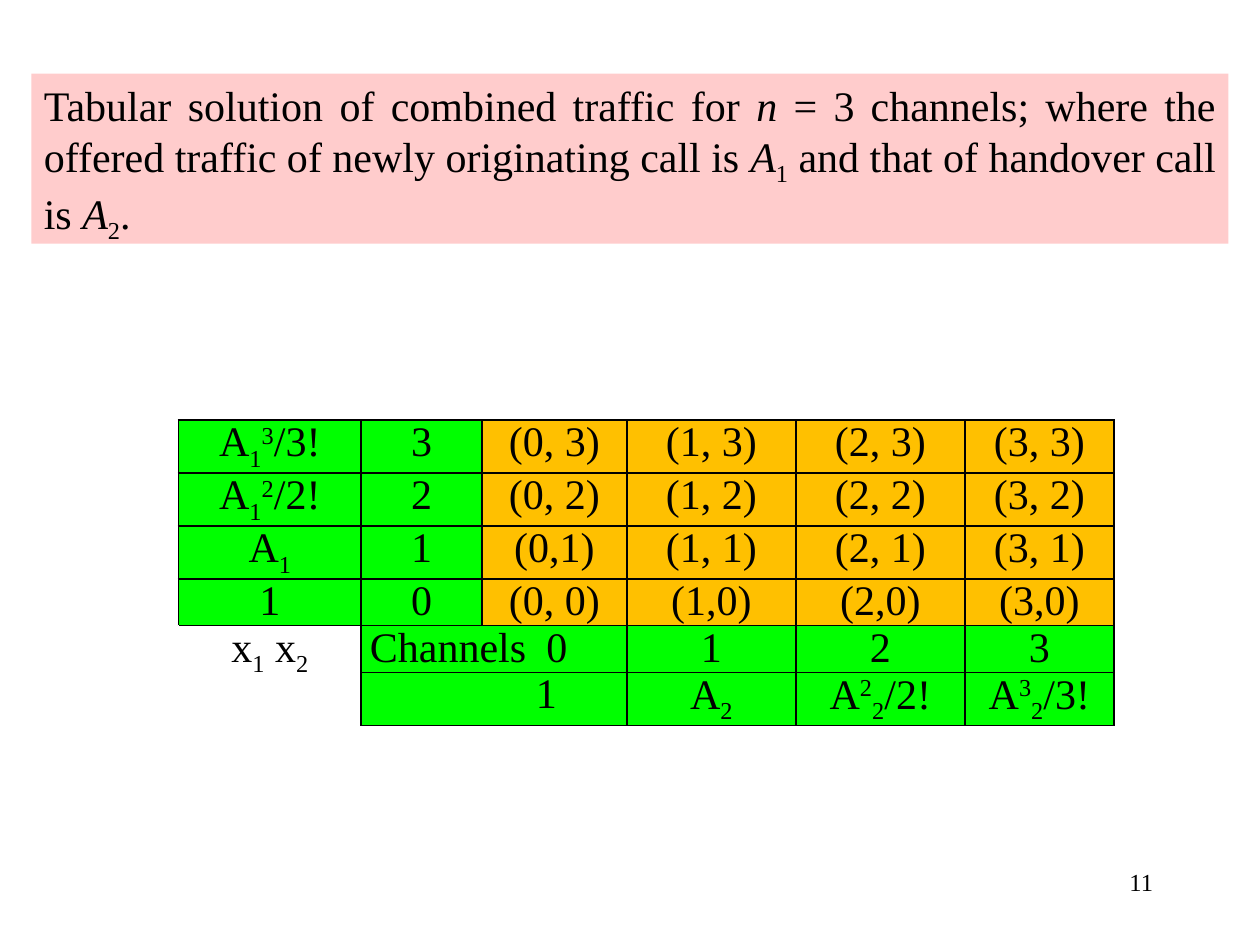
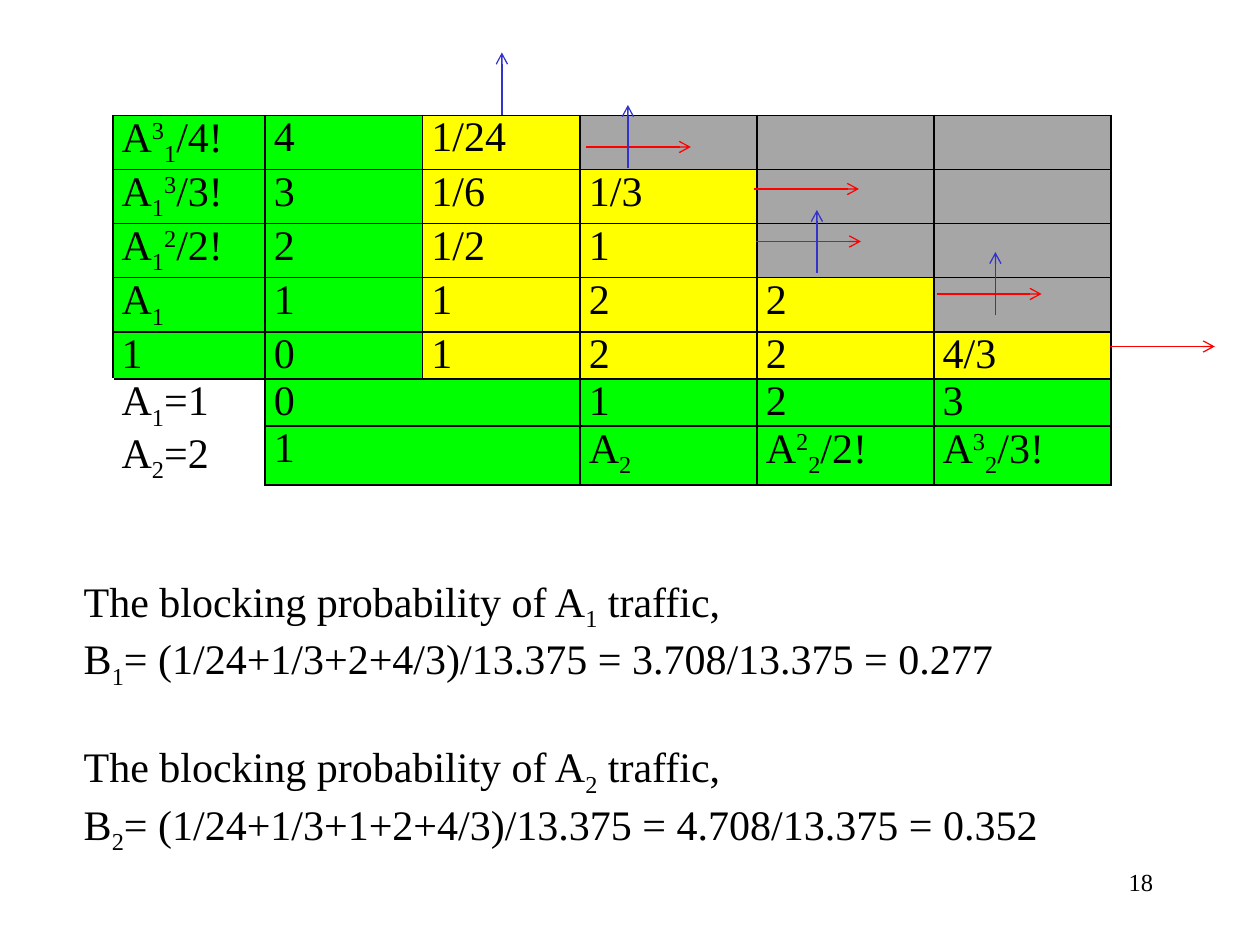
from lxml.etree import SubElement
from pptx import Presentation
from pptx.dml.color import RGBColor
from pptx.enum.shapes import MSO_CONNECTOR, MSO_SHAPE
from pptx.enum.text import MSO_ANCHOR, PP_ALIGN as AL
from pptx.oxml.ns import qn
from pptx.util import Inches, Pt

BLACK = RGBColor(0x00, 0x00, 0x00)
GREEN = RGBColor(0x00, 0xFF, 0x00)
ORANGE = RGBColor(0xFF, 0xC0, 0x00)
YELLOW = RGBColor(0xFF, 0xFF, 0x00)
GREY = RGBColor(0xA6, 0xA6, 0xA6)
PINK = RGBColor(0xFF, 0xCC, 0xCC)
RED = RGBColor(0xFF, 0x00, 0x00)
BLUE = RGBColor(0x33, 0x33, 0xCC)
FONT = "Times New Roman"
BODY = 24
# Line heights in table cells, without and with a subscript
PLAIN_LINE, INDEX_LINE = Pt(26), Pt(30)

prs = Presentation()
prs.slide_width, prs.slide_height = Inches(10), Inches(7.5)
# The slide is a grid of 120 columns by 90 rows.
COL = prs.slide_width / 120
ROW = prs.slide_height / 90


def write(tf, lines, align, size=BODY, in_cell=False):
    """Fill a text frame; _ lowers, ^ raises and ~ slants the next character."""
    if not in_cell:
        tf.word_wrap = True
    for i, line in enumerate(lines):
        p = tf.add_paragraph() if i else tf.paragraphs[0]
        p.alignment = align
        if in_cell:
            p.line_spacing = INDEX_LINE if "_" in line else PLAIN_LINE
        if "\t" in line:
            tabs = SubElement(p._p.get_or_add_pPr(), qn("a:tabLst"))
            SubElement(tabs, qn("a:tab"), pos=str(Inches(1.4)), algn="l")
        pieces, mark = [["", ""]], ""
        for ch in line:
            if ch in "_^~":
                mark = ch
            elif mark or pieces[-1][0]:
                pieces.append([mark, ch])
                mark = ""
            else:
                pieces[-1][1] += ch
        for mark, text in pieces:
            if not text:
                continue
            r = p.add_run()
            r.text = text
            for name, value in {"name": FONT, "size": Pt(size), "italic": mark == "~"}.items():
                setattr(r.font, name, value)
            r.font.color.rgb = BLACK
            if mark in ("_", "^"):
                r.font._element.set("baseline", "-25000" if mark == "_" else "30000")


def add_state_table(s, left, top, widths, heights, rows, state_fill, align):
    """Add a table of states with green margins and an open lower left corner."""
    n_rows, n_cols = len(heights), len(widths)
    table = s.shapes.add_table(n_rows, n_cols, round(left * COL), round(top * ROW),
                               round(sum(widths) * COL), round(sum(heights) * ROW)).table
    table.first_row = table.horz_banding = False
    for column, width in zip(table.columns, widths):
        column.width = round(width * COL)
    for row, height in zip(table.rows, heights):
        row.height = round(height * ROW)
    corner = n_rows - 2
    table.cell(corner, 0).merge(table.cell(corner + 1, 0))
    for y in (corner, corner + 1):
        table.cell(y, 1).merge(table.cell(y, 2))

    for y, texts in enumerate(rows):
        for x, text in enumerate(texts):
            cell = table.cell(y, x)
            in_corner = x == 0 and y >= corner
            cell.margin_left = cell.margin_right = Inches(0.07)
            cell.margin_top = cell.margin_bottom = 0
            tc_pr = cell._tc.get_or_add_tcPr()
            for side in "RT" if in_corner else "LRTB":
                ln = SubElement(tc_pr, qn(f"a:ln{side}"), w=str(Pt(1)))
                fill = SubElement(ln, qn("a:solidFill"))
                SubElement(fill, qn("a:srgbClr"), val=str(BLACK))
            if in_corner:
                cell.fill.background()
            else:
                cell.fill.solid()
                margin = x < 2 or y >= corner
                cell.fill.fore_color.rgb = GREEN if margin else state_fill if text else GREY
            if text:
                write(cell.text_frame, text.split("\n"), AL.LEFT if "\t" in text else align,
                      in_cell=True)
    return table


# Both slides: page number
slides = []
for number in ("11", "18"):
    s = prs.slides.add_slide(prs.slide_layouts[6])
    tb = s.shapes.add_textbox(round(86 * COL), round(82 * ROW), round(25 * COL), round(6 * ROW))
    write(tb.text_frame, [number], AL.RIGHT, 14)
    slides.append(s)
tabular, blocking = slides

# Slide 1: states of combined traffic
table = add_state_table(
    tabular, 17, 40, [17.4, 11.5, 13.8, 16.1, 16.1, 14.2],
    [5.05] * 3 + [4.45] * 2 + [5.05],
    [["A_1^3/3!", "3", "(0, 3)", "(1, 3)", "(2, 3)", "(3, 3)"],
     ["A_1^2/2!", "2", "(0, 2)", "(1, 2)", "(2, 2)", "(3, 2)"],
     ["A_1", "1", "(0,1)", "(1, 1)", "(2, 1)", "(3, 1)"],
     ["1", "0", "(0, 0)", "(1,0)", "(2,0)", "(3,0)"],
     ["x_1 x_2", "Channels\t0", "", "1", "2", "3"],
     ["", "1", "", "A_2", "A^2_2/2!", "A^3_2/3!"]],
    ORANGE, AL.CENTER)
table.cell(5, 1).margin_left = Inches(0.9)

sp = tabular.shapes.add_shape(MSO_SHAPE.RECTANGLE, round(3 * COL), round(7 * ROW),
                              round(114 * COL), round(16.2 * ROW))
sp.shadow.inherit = False
sp.fill.solid()
sp.fill.fore_color.rgb = PINK
sp.line.fill.background()
sp.text_frame.vertical_anchor = MSO_ANCHOR.TOP
write(sp.text_frame,
      ["Tabular solution of combined traffic for ~n = 3 channels; where the offered traffic "
       "of newly originating call is ~A_1 and that of handover call is ~A_2."],
      AL.JUSTIFY)

# Slide 2: blocking probabilities
add_state_table(
    blocking, 10.75, 11, [14.5, 15, 15] + [16.85] * 3,
    [5.15] * 4 + [4.5] * 2 + [5.6],
    [["A^3_1/4!", "4", "1/24", "", "", ""],
     ["A_1^3/3!", "3", "1/6", "1/3", "", ""],
     ["A_1^2/2!", "2", "1/2", "1", "", ""],
     ["A_1", "1", "1", "2", "2", ""],
     ["1", "0", "1", "2", "2", "4/3"],
     ["A_1=1\nA_2=2", "0", "", "1", "2", "3"],
     ["", "1", "", "A_2", "A^2_2/2!", "A^3_2/3!"]],
    YELLOW, AL.JUSTIFY)

# Arrow starts; red ones run right, blue ones run up
red_starts = [(55.8, 14), (71.8, 18), (72, 23), (89.2, 28), (105.7, 33)]
blue_starts = [(47.8, 11), (59.8, 16), (77.8, 26), (94.8, 30)]
for color, starts, dx, dy in ((RED, red_starts, 10, 0), (BLUE, blue_starts, 0, -6)):
    for x, y in starts:
        c = blocking.shapes.add_connector(MSO_CONNECTOR.STRAIGHT, round(x * COL), round(y * ROW),
                                          round((x + dx) * COL), round((y + dy) * ROW))
        c.line.color.rgb = color
        c.line.width = Pt(0.75)
        sp_pr = c.element.spPr
        SubElement(sp_pr.find(qn("a:ln")), qn("a:tailEnd"), type="arrow")
        SubElement(sp_pr, qn("a:effectLst"))

tb = blocking.shapes.add_textbox(round(6.8 * COL), round(54.2 * ROW),
                                 round(102.7 * COL), round(25.4 * ROW))
write(tb.text_frame,
      ["The blocking probability of A_1 traffic,",
       "B_1= (1/24+1/3+2+4/3)/13.375 = 3.708/13.375 = 0.277",
       "The blocking probability of A_2 traffic,",
       "B_2= (1/24+1/3+1+2+4/3)/13.375 = 4.708/13.375 = 0.352"],
      AL.LEFT)
tb.text_frame.paragraphs[2].space_before = Pt(29)

prs.save("out.pptx")
